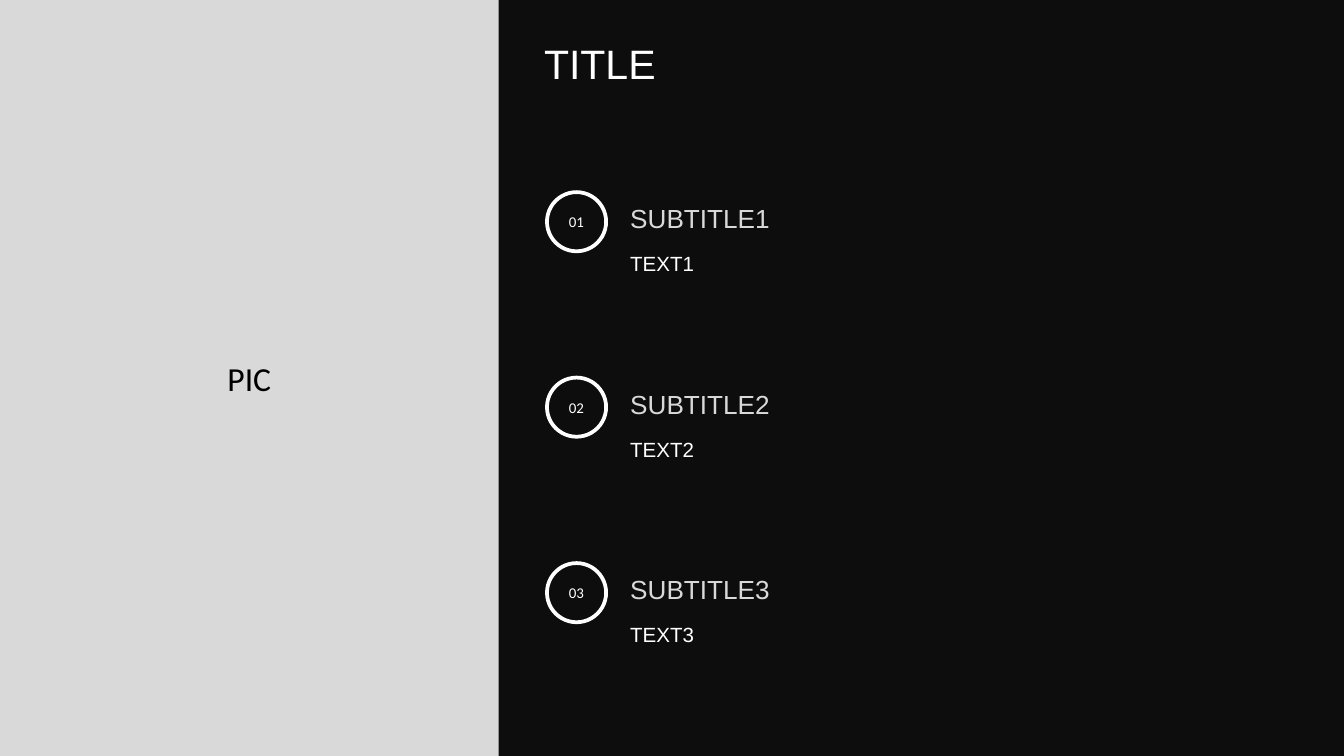
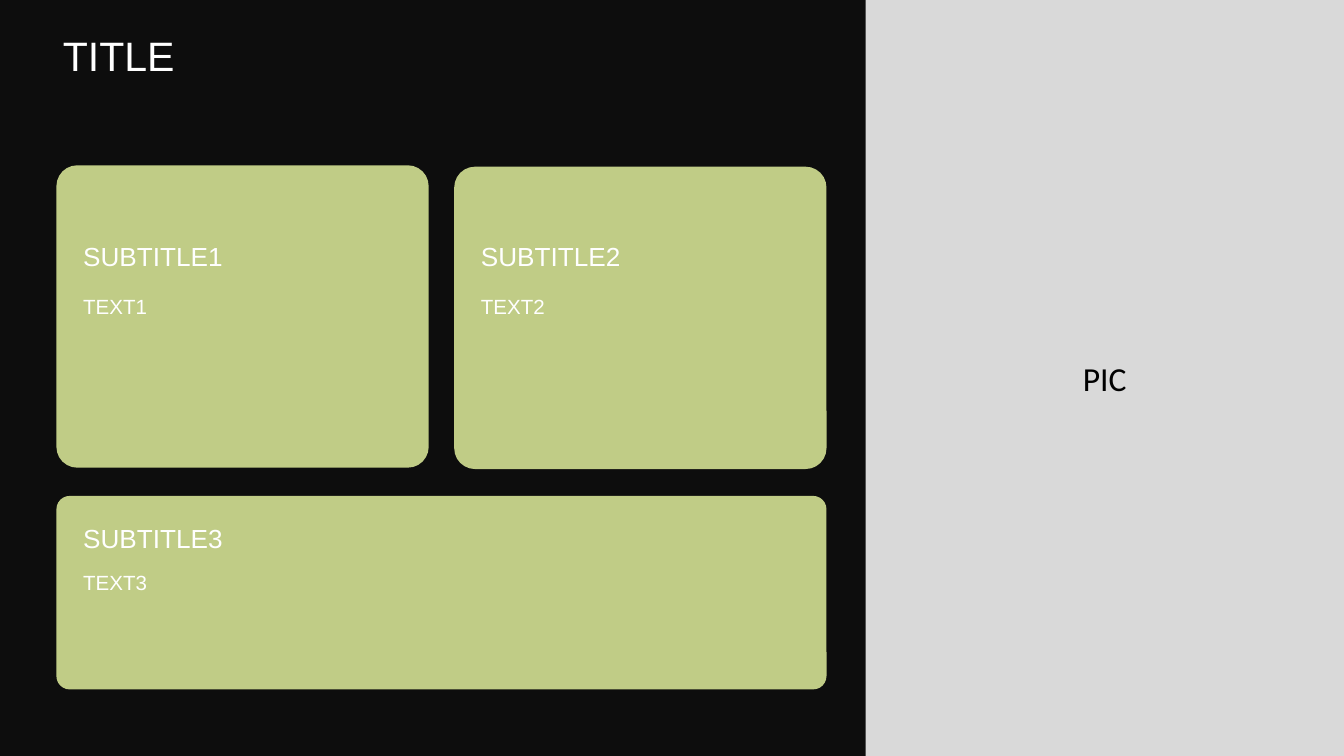
from dataclasses import dataclass

from pptx import Presentation
from pptx.dml.color import RGBColor
from pptx.enum.shapes import MSO_SHAPE as Preset
from pptx.enum.text import MSO_ANCHOR as Anchor, PP_ALIGN as Align
from pptx.shapes.autoshape import Shape
from pptx.slide import Slide
from pptx.util import Inches, Pt


@dataclass(frozen=True)
class TextStyle:
    size: float
    font: str
    color: str
    anchor: Anchor = Anchor.TOP
    align: Align = Align.LEFT


@dataclass(frozen=True)
class Theme:
    background: str = "0D0D0D"
    panel: str = "D9D9D9"
    card: str = "C0CC86"
    ring: str = "FFFFFF"
    ring_width: float = 2
    card_rounding: float = 0.069
    title: TextStyle = TextStyle(22, "Arial", "FFFFFF")
    muted_subtitle: TextStyle = TextStyle(14, "Arial", "D9D9D9", Anchor.BOTTOM)
    subtitle: TextStyle = TextStyle(14, "Arial", "FFFFFF", Anchor.BOTTOM)
    body: TextStyle = TextStyle(11, "Arial", "FFFFFF")
    number: TextStyle = TextStyle(8, "Calibri", "FFFFFF", Anchor.MIDDLE, Align.CENTER)
    panel_label: TextStyle = TextStyle(18, "Calibri", "000000", Anchor.MIDDLE, Align.CENTER)


@dataclass(frozen=True)
class Box:
    """A rectangle measured in inches."""
    left: float
    top: float
    width: float
    height: float

    def lengths(self) -> tuple[Inches, Inches, Inches, Inches]:
        return Inches(self.left), Inches(self.top), Inches(self.width), Inches(self.height)


@dataclass(frozen=True)
class Card:
    frame: Box
    subtitle: Box
    body: Box


THEME = Theme()
SLIDE_WIDTH, SLIDE_HEIGHT = 10, 5.625


# Shared building blocks
def write(shape: Shape, text: str, style: TextStyle) -> None:
    frame = shape.text_frame
    frame.word_wrap = True
    frame.vertical_anchor = style.anchor
    paragraph = frame.paragraphs[0]
    paragraph.text = text
    paragraph.alignment = style.align
    paragraph.font.size = Pt(style.size)
    paragraph.font.name = style.font
    paragraph.font.color.rgb = RGBColor.from_string(style.color)


def add_text(slide: Slide, box: Box, text: str, style: TextStyle) -> None:
    write(slide.shapes.add_textbox(*box.lengths()), text, style)


def add_rounded(slide: Slide, box: Box, color: str, rounding: float) -> Shape:
    rounded = slide.shapes.add_shape(Preset.ROUNDED_RECTANGLE, *box.lengths())
    rounded.adjustments[0] = rounding
    rounded.shadow.inherit = False
    rounded.fill.solid()
    rounded.fill.fore_color.rgb = RGBColor.from_string(color)
    rounded.line.fill.background()
    return rounded


def add_ring(slide: Slide, box: Box, number: int) -> None:
    ring = slide.shapes.add_shape(Preset.OVAL, *box.lengths())
    ring.shadow.inherit = False
    ring.fill.background()
    ring.line.color.rgb = RGBColor.from_string(THEME.ring)
    ring.line.width = Pt(THEME.ring_width)
    write(ring, f"{number:02d}", THEME.number)


def start_slide(deck: Presentation, panel_left: float, panel_width: float, title: Box) -> Slide:
    """Dark slide with a full-height picture panel and a title."""
    slide = deck.slides.add_slide(deck.slide_layouts[6])
    slide.background.fill.solid()
    slide.background.fill.fore_color.rgb = RGBColor.from_string(THEME.background)
    panel = add_rounded(slide, Box(panel_left, 0, panel_width, SLIDE_HEIGHT), THEME.panel, 0)
    write(panel, "PIC", THEME.panel_label)
    add_text(slide, title, "TITLE", THEME.title)
    return slide


# Slide 1: numbered list beside the panel
def build_numbered_list(deck: Presentation) -> None:
    slide = start_slide(deck, 0, 3.71, Box(3.95, 0.24, 5.88, 0.99))
    first_top, pitch = 1.43, 1.38
    for number in range(1, 4):
        top = first_top + (number - 1) * pitch
        add_ring(slide, Box(4.07, top, 0.44, 0.44), number)
        add_text(slide, Box(4.59, top, 5.11, 0.36), f"SUBTITLE{number}", THEME.muted_subtitle)
        add_text(slide, Box(4.59, top + 0.39, 5.11, 0.78), f"TEXT{number}", THEME.body)


# Slide 2: two cards above a wide one
def upper_card(left: float, top: float) -> Card:
    text_left = left + 0.1
    return Card(Box(left, top, 2.77, 2.25),
                Box(text_left, 1.29, 2.56, 0.78),
                Box(text_left, 2.14, 2.56, 1.25))


def build_cards(deck: Presentation) -> None:
    panel_width = 3.56
    slide = start_slide(deck, SLIDE_WIDTH - panel_width, panel_width, Box(0.37, 0.18, 5.78, 1.01))
    cards = (
        upper_card(0.42, 1.23),
        upper_card(3.38, 1.24),
        Card(Box(0.42, 3.69, 5.73, 1.44), Box(0.52, 3.81, 5.73, 0.36), Box(0.52, 4.19, 5.63, 0.78)),
    )
    for number, card in enumerate(cards, start=1):
        add_rounded(slide, card.frame, THEME.card, THEME.card_rounding)
        add_text(slide, card.subtitle, f"SUBTITLE{number}", THEME.subtitle)
        add_text(slide, card.body, f"TEXT{number}", THEME.body)


def main() -> None:
    deck = Presentation()
    deck.slide_width = Inches(SLIDE_WIDTH)
    deck.slide_height = Inches(SLIDE_HEIGHT)
    build_numbered_list(deck)
    build_cards(deck)
    deck.save("out.pptx")


if __name__ == "__main__":
    main()
